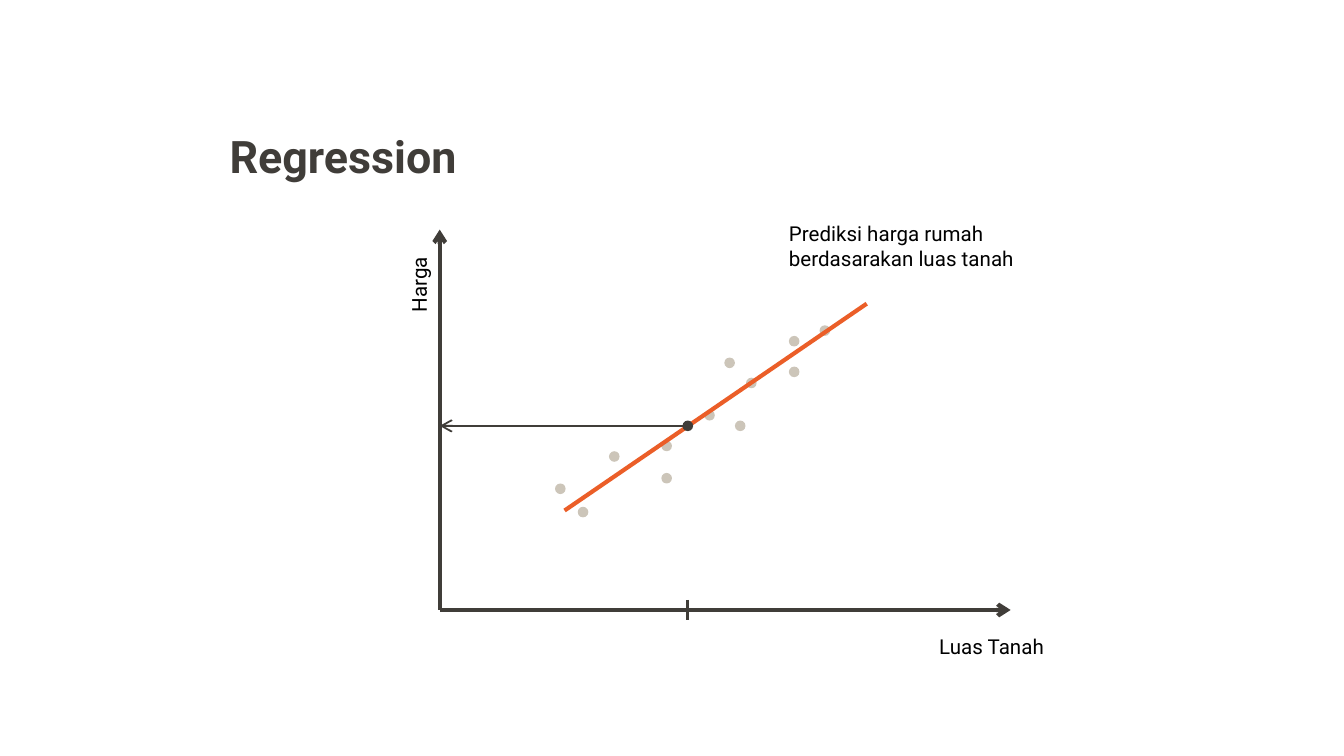
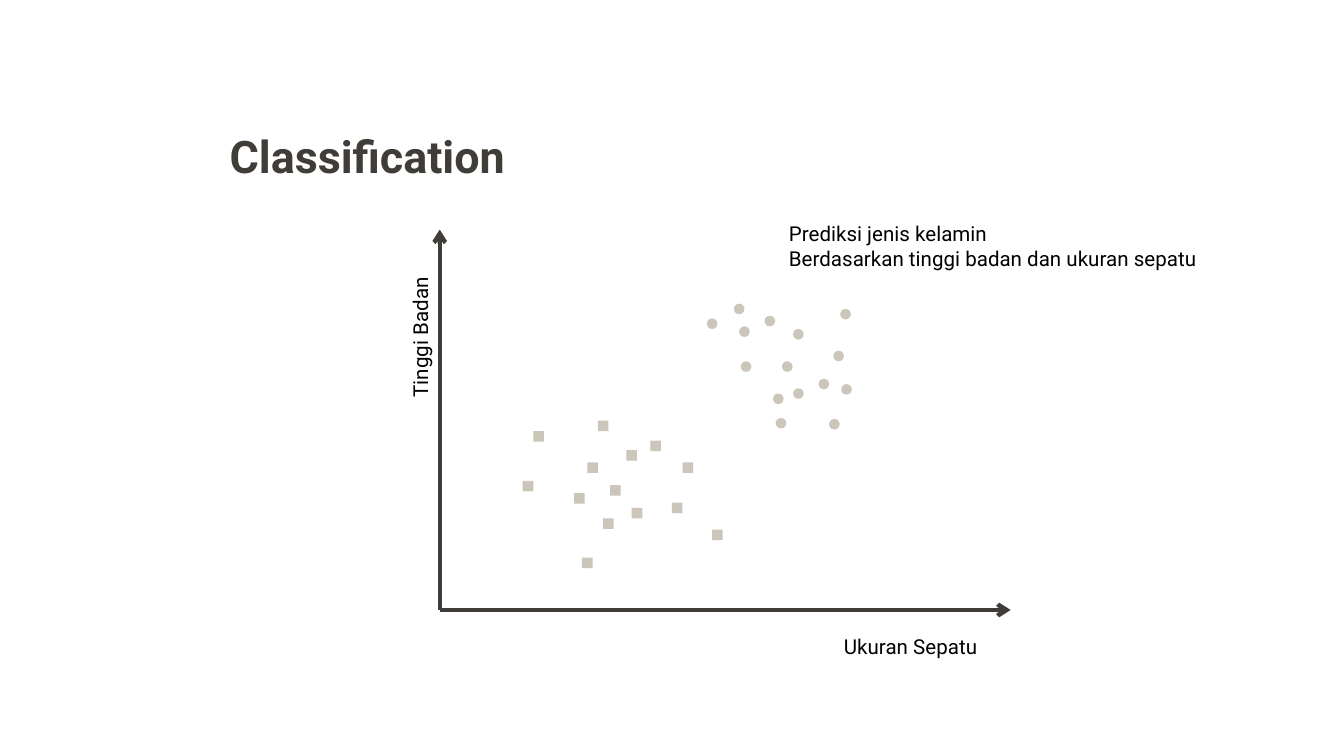
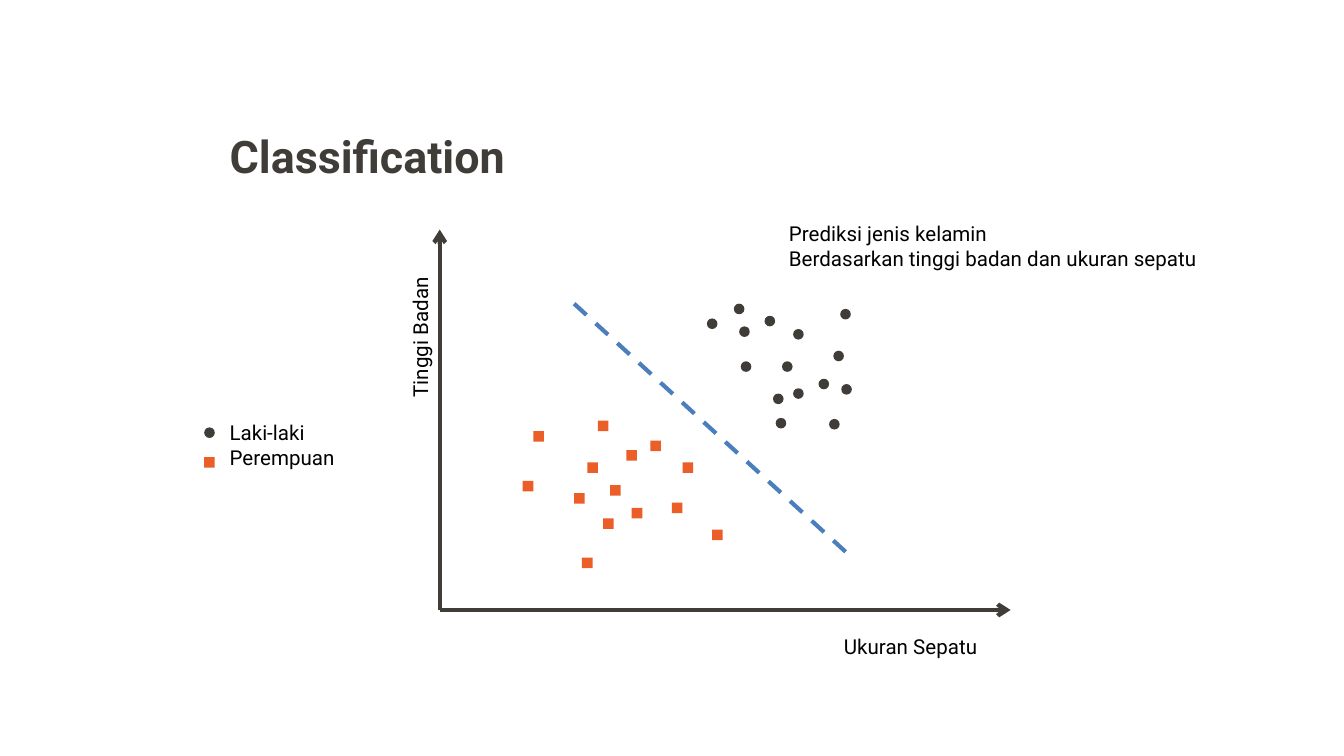
from lxml import etree
from pptx import Presentation
from pptx import util as u
from pptx.dml.color import RGBColor
from pptx.enum import dml, shapes, text
from pptx.oxml.ns import qn

COLORS = {"ink": "403D39", "sand": "CCC5B9", "orange": "EB5E28",
          "blue": "4B7EBC", "black": "000000", "paper": "FFFFFF"}
FONT = "Roboto"
CIRCLE = shapes.MSO_SHAPE.FLOWCHART_CONNECTOR
SQUARE = shapes.MSO_SHAPE.RECTANGLE

# Content: all lengths in centimetres, marks as (left, top)
ORIGIN, Y_TIP, X_TIP = (8.31, 11.53), (8.31, 4.34), (19.1, 11.53)
MARK = 0.2
LABEL_HEIGHT, TWO_LINES = 0.74, 1.19

HOUSES = [
    (10.49, 9.14), (10.92, 9.58), (11.51, 8.53), (12.5, 8.94),
    (12.5, 8.33), (13.31, 7.75), (14.1, 7.14), (13.89, 7.95),
    (13.69, 6.76), (14.91, 6.93), (14.91, 6.35), (15.49, 6.15),
]
WOMEN = [
    (11.1, 8.74), (11.53, 9.17), (10.85, 9.32), (11.4, 9.8), (11.3, 7.95),
    (11.94, 9.6), (9.88, 9.09), (12.9, 8.74), (13.46, 10.01), (11.0, 10.54),
    (10.08, 8.15), (12.29, 8.33), (11.84, 8.51), (12.7, 9.5),
]
MEN = [
    (14.45, 5.97), (14.78, 6.83), (14.0, 6.83), (14.61, 7.44), (14.99, 6.22),
    (13.36, 6.02), (13.97, 6.17), (13.87, 5.74), (15.9, 7.26), (14.99, 7.34),
    (15.47, 7.16), (14.66, 7.9), (15.67, 7.92), (15.75, 6.63), (15.88, 5.84),
]

# Each text: wording, then left, top and width where they vary
REGRESSION = {
    "title": ("Regression", 4.8),
    "x_axis": ("Luas Tanah", 17.5, 2.57),
    "y_axis": ("Harga", 7.14, 5.0, 1.57),
    "task": ("Prediksi harga rumah\nberdasarakan luas tanah", 4.85),
}
CLASSIFICATION = {
    "title": ("Classification", 5.77),
    "x_axis": ("Ukuran Sepatu", 15.7, 3.12),
    "y_axis": ("Tinggi Badan", 6.53, 5.97, 2.84),
    "task": ("Prediksi jenis kelamin\n"
             "Berdasarkan tinggi badan dan ukuran sepatu", 8.41),
}
LEGEND = "Laki-laki\nPerempuan"
TREND = (10.67, 9.65), (16.38, 5.74)
BOUNDARY = (10.85, 5.74), (16.1, 10.54)
PREDICTION = (12.9, 7.95)


def rgb(color):
    return RGBColor.from_string(COLORS[color])


def add_text(slide, wording, left, top, width, height,
             size=11, color="black", bold=False, rotation=0):
    label = slide.shapes.add_textbox(*map(u.Cm, (left, top, width, height)))
    label.rotation = rotation
    frame = label.text_frame
    frame.word_wrap = False
    frame.auto_size = text.MSO_AUTO_SIZE.SHAPE_TO_FIT_TEXT
    frame.text = wording
    for paragraph in frame.paragraphs:
        for run in paragraph.runs:
            run.font.name = FONT
            run.font.size = u.Pt(size)
            run.font.bold = bold
            run.font.color.rgb = rgb(color)


def add_line(slide, start, end, color="ink", weight=2.25, arrow=False, dashed=False):
    line = slide.shapes.add_connector(
        shapes.MSO_CONNECTOR.STRAIGHT, *map(u.Cm, (*start, *end)))
    line.line.color.rgb = rgb(color)
    line.line.width = u.Pt(weight)
    if dashed:
        line.line.dash_style = dml.MSO_LINE.DASH
    properties = line._element.spPr
    if arrow:
        etree.SubElement(properties.find(qn("a:ln")), qn("a:tailEnd"), type="arrow")
    etree.SubElement(properties, qn("a:effectLst"))


def add_marks(slide, kind, places, color):
    for left, top in places:
        mark = slide.shapes.add_shape(kind, *map(u.Cm, (left, top, MARK, MARK)))
        mark.shadow.inherit = False
        mark.fill.solid()
        mark.fill.fore_color.rgb = rgb(color)
        mark.line.fill.background()


def add_plot_slide(prs, content):
    """Add a slide with the title, axes, axis names and task note."""
    slide = prs.slides.add_slide(prs.slide_layouts[6])
    slide.background.fill.solid()
    slide.background.fill.fore_color.rgb = rgb("paper")
    title, title_width = content["title"]
    add_text(slide, title, 4.09, 2.31, title_width, 1.27, 24, "ink", bold=True)
    for tip in (Y_TIP, X_TIP):
        add_line(slide, ORIGIN, tip, arrow=True)
    x_name, x_left, x_width = content["x_axis"]
    add_text(slide, x_name, x_left, 11.86, x_width, LABEL_HEIGHT)
    add_text(slide, *content["y_axis"], LABEL_HEIGHT, rotation=270)
    task, task_width = content["task"]
    add_text(slide, task, 14.66, 4.06, task_width, TWO_LINES)
    return slide


def add_regression(prs):
    slide = add_plot_slide(prs, REGRESSION)
    add_marks(slide, CIRCLE, HOUSES, "sand")
    add_line(slide, *TREND, color="orange")
    # Predicted price, read off both axes
    add_marks(slide, CIRCLE, [PREDICTION], "ink")
    left, top = PREDICTION
    middle_x, middle_y = left + MARK / 2, top + MARK / 2
    add_line(slide, (left, middle_y), (ORIGIN[0], middle_y), weight=1, arrow=True)
    add_line(slide, (middle_x, ORIGIN[1] - 0.19), (middle_x, ORIGIN[1] + 0.19), weight=1.5)


def add_classification(prs, women_color, men_color):
    slide = add_plot_slide(prs, CLASSIFICATION)
    add_marks(slide, SQUARE, WOMEN, women_color)
    add_marks(slide, CIRCLE, MEN, men_color)
    return slide


def add_boundary_and_legend(slide, women_color, men_color):
    add_line(slide, *BOUNDARY, color="blue", dashed=True)
    add_text(slide, LEGEND, 4.09, 7.82, 2.54, TWO_LINES)
    add_marks(slide, SQUARE, [(3.86, 8.64)], women_color)
    add_marks(slide, CIRCLE, [(3.86, 8.08)], men_color)


def main():
    prs = Presentation()
    prs.slide_width, prs.slide_height = u.Cm(25.4), u.Cm(14.29)
    add_regression(prs)
    add_classification(prs, "sand", "sand")
    classified = add_classification(prs, "orange", "ink")
    add_boundary_and_legend(classified, "orange", "ink")
    prs.save("out.pptx")


if __name__ == "__main__":
    main()
